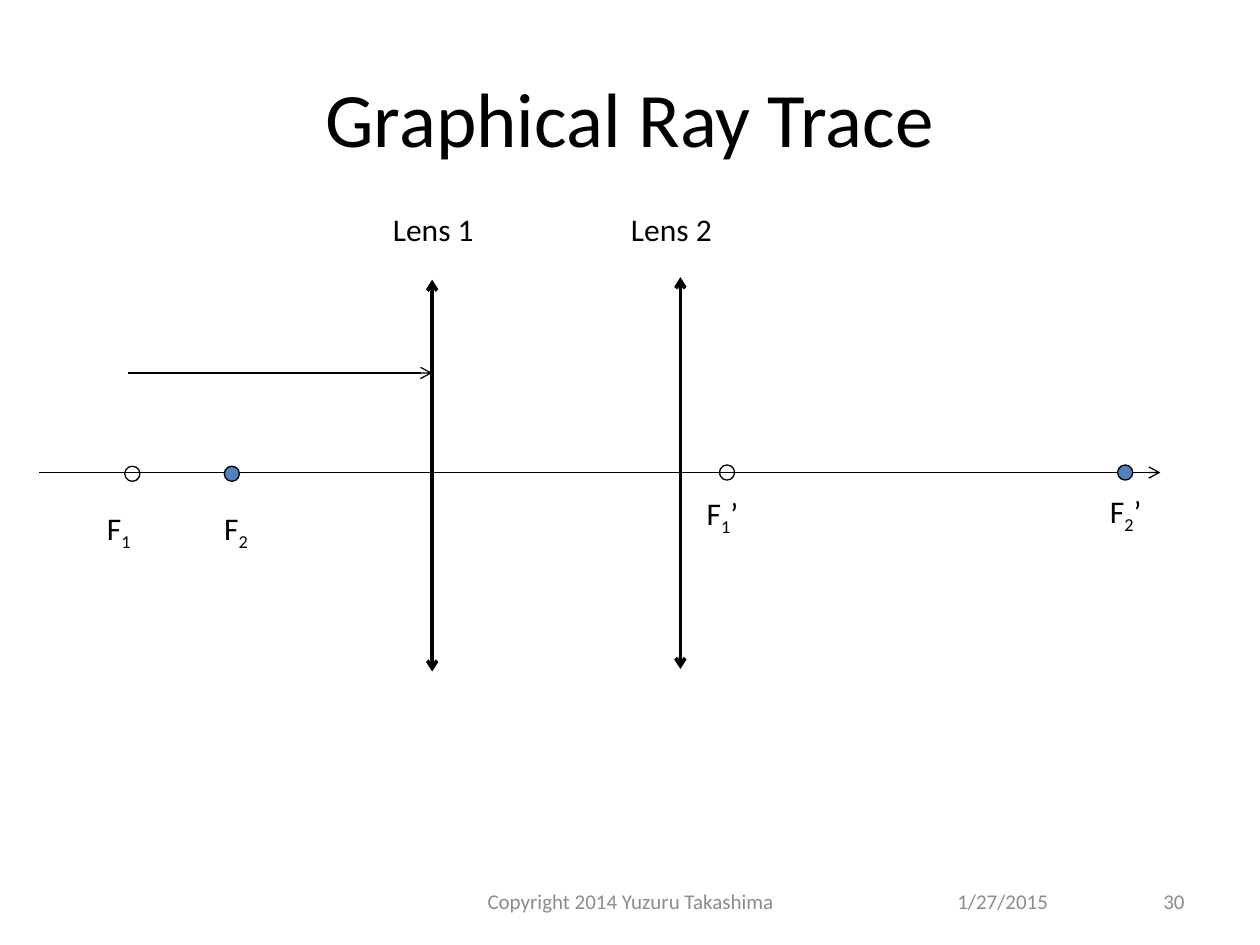
from lxml.etree import SubElement
from pptx import Presentation
from pptx.dml.color import RGBColor
from pptx.enum.shapes import MSO_CONNECTOR, MSO_SHAPE
from pptx.enum.text import MSO_ANCHOR, MSO_AUTO_SIZE, PP_ALIGN
from pptx.oxml.ns import qn
from pptx.util import Inches, Pt

BLACK = RGBColor(0x00, 0x00, 0x00)
GRAY = RGBColor(0x8C, 0x8C, 0x8C)
BLUE = RGBColor(0x4F, 0x81, 0xBD)

TITLE_FORMAT = {"size": Pt(44), "name": "Calibri", "color": BLACK}
LABEL_FORMAT = {"size": Pt(18), "name": "Calibri", "color": BLACK}
FOOTER_FORMAT = {"size": Pt(12), "name": "Calibri", "color": GRAY}

FRAMED_TEXTS = [
    ("Graphical Ray Trace", (0.5, 0.3, 9, 1.25), PP_ALIGN.CENTER, TITLE_FORMAT),
    ("1/27/2015", (7.5, 6.95, 2.33, 0.4), PP_ALIGN.LEFT, FOOTER_FORMAT),
    ("Copyright 2014 Yuzuru Takashima", (3.42, 6.95, 3.17, 0.4), PP_ALIGN.CENTER, FOOTER_FORMAT),
    ("30", (7.17, 6.95, 2.33, 0.4), PP_ALIGN.RIGHT, FOOTER_FORMAT),
]

LENS_HEIGHT = 3.11
LENSES = [(3.43, 2.22), (5.4, 2.2)]
RAYS = [((0.31, 3.75), (9.21, 3.75)), ((1.02, 2.96), (LENSES[0][0], 2.96))]

FOCUS_SIZE = 0.12
FOCI = [
    (5.71, 3.69, None),
    (0.99, 3.7, None),
    (8.87, 3.69, BLUE),
    (1.78, 3.7, BLUE),
]

LABELS = [
    (("Lens 1", "", ""), (3.02, 1.62, 0.96, 0.4)),
    (("Lens 2", "", ""), (4.91, 1.62, 0.96, 0.4)),
    (("F", "1", ""), (0.75, 3.99, 0.45, 0.4)),
    (("F", "2", ""), (1.68, 3.99, 0.45, 0.4)),
    (("F", "1", "’"), (5.51, 3.87, 0.51, 0.4)),
    (("F", "2", "’"), (8.71, 3.86, 0.51, 0.4)),
]


def add_run(paragraph, text, text_format):
    run = paragraph.add_run()
    run.text = text
    for attribute, value in text_format.items():
        if attribute == "color":
            run.font.color.rgb = value
        else:
            setattr(run.font, attribute, value)
    return run


def add_text_frame(slide, box, frame_format):
    shape = slide.shapes.add_textbox(*map(Inches, box))
    for attribute, value in frame_format.items():
        setattr(shape.text_frame, attribute, value)
    return shape.text_frame


def add_framed_text(slide, text, box, alignment, text_format):
    frame_format = {"word_wrap": True, "vertical_anchor": MSO_ANCHOR.MIDDLE}
    paragraph = add_text_frame(slide, box, frame_format).paragraphs[0]
    paragraph.alignment = alignment
    add_run(paragraph, text, text_format)


def add_label(slide, parts, box):
    frame_format = {"word_wrap": False, "auto_size": MSO_AUTO_SIZE.SHAPE_TO_FIT_TEXT}
    paragraph = add_text_frame(slide, box, frame_format).paragraphs[0]
    for text, baseline in zip(parts, (0, -25000, 0)):
        if text:
            run = add_run(paragraph, text, LABEL_FORMAT)
            if baseline:
                run._r.get_or_add_rPr().set("baseline", str(baseline))


def add_arrow(slide, start, end, width, arrowheads):
    connector = slide.shapes.add_connector(MSO_CONNECTOR.STRAIGHT, *map(Inches, start + end))
    connector.line.color.rgb = BLACK
    connector.line.width = Pt(width)
    line = connector.line._get_or_add_ln()
    for arrowhead in arrowheads:
        SubElement(line, qn(f"a:{arrowhead}"), type="arrow")
    SubElement(connector._element.spPr, qn("a:effectLst"))


def add_focus(slide, left, top, color):
    shape = slide.shapes.add_shape(
        MSO_SHAPE.OVAL, *map(Inches, (left, top, FOCUS_SIZE, FOCUS_SIZE))
    )
    shape.shadow.inherit = False
    shape.line.color.rgb = BLACK
    shape.line.width = Pt(0.75)
    if color is None:
        shape.fill.background()
    else:
        shape.fill.solid()
        shape.fill.fore_color.rgb = color


def main():
    presentation = Presentation()
    presentation.slide_width = Inches(10)
    presentation.slide_height = Inches(7.5)
    slide = presentation.slides.add_slide(presentation.slide_layouts[6])

    for framed_text in FRAMED_TEXTS:
        add_framed_text(slide, *framed_text)
    for left, top in LENSES:
        add_arrow(slide, (left, top), (left, top + LENS_HEIGHT), 2, ("headEnd", "tailEnd"))
    for start, end in RAYS:
        add_arrow(slide, start, end, 0.75, ("tailEnd",))
    for focus in FOCI:
        add_focus(slide, *focus)
    for label in LABELS:
        add_label(slide, *label)

    presentation.save("out.pptx")


if __name__ == "__main__":
    main()
